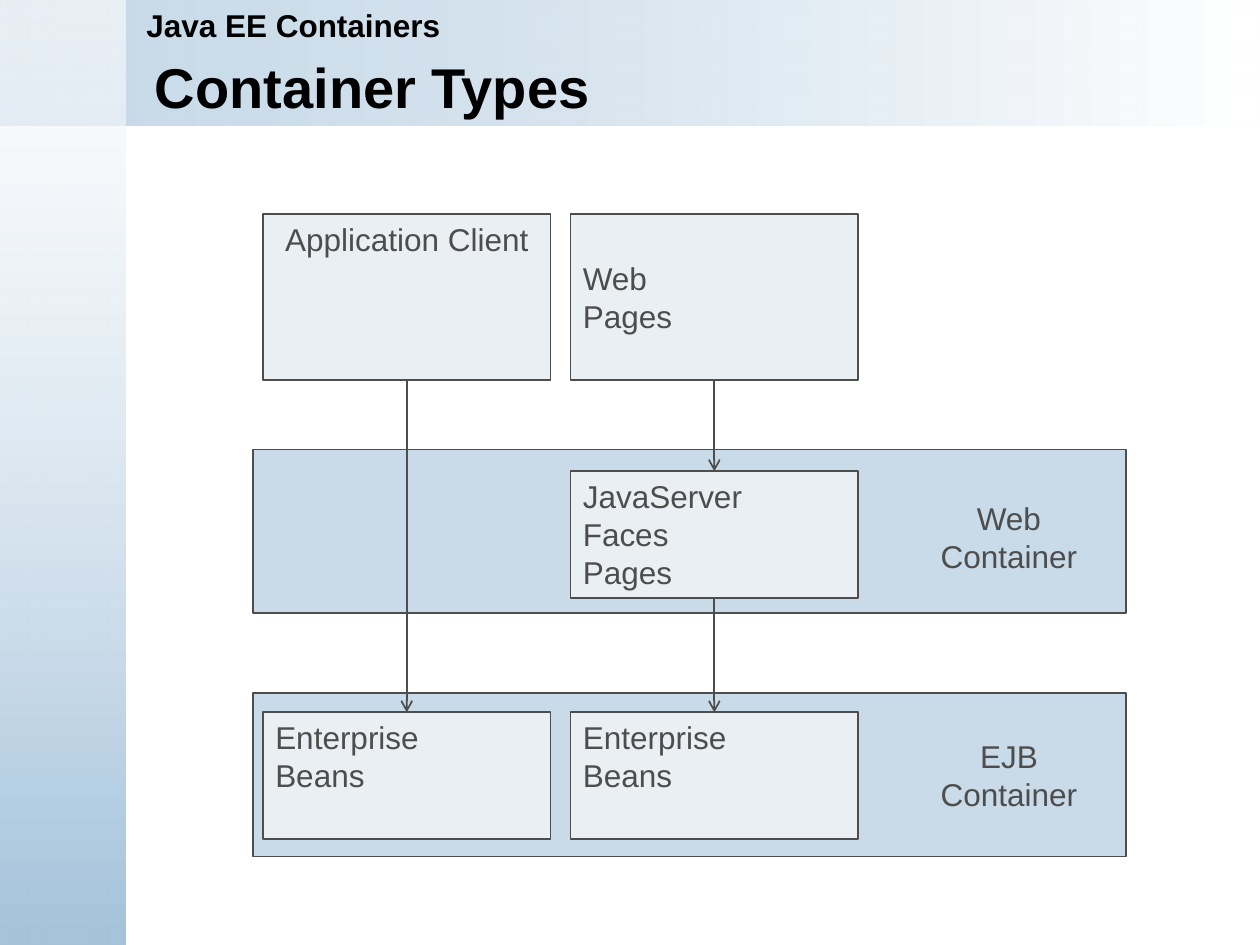
from lxml.etree import SubElement
from pptx import Presentation
from pptx.dml.color import RGBColor
from pptx.enum.shapes import MSO_CONNECTOR as Link, MSO_SHAPE as Shape
from pptx.enum.text import MSO_ANCHOR as Anchor, PP_ALIGN as Align
from pptx.oxml import parse_xml
from pptx.oxml.ns import nsdecls, qn
from pptx.util import Cm, Pt


def colour(value):
    return RGBColor.from_string(value)


class Diagram:
    font = "Arial"
    ink = "4D4D4D"
    band_fill = "C9DBE9"
    box_fill = "EAEFF4"
    accent = "A5C3DB"

    def __init__(self, page):
        self.page = page

    def add_lines(self, shape, lines, size=18, ink=ink, bold=False,
                  align=Align.LEFT, anchor=Anchor.TOP, wrap=True):
        frame = shape.text_frame
        frame.word_wrap = wrap
        frame.vertical_anchor = anchor
        for index, line in enumerate(lines):
            para = frame.add_paragraph() if index else frame.paragraphs[0]
            para.alignment = align
            span = para.add_run()
            span.text = line
            span.font.name = self.font
            span.font.size = Pt(size)
            span.font.bold = bold
            span.font.color.rgb = colour(ink)

    def rectangle(self, left, top, width, height, fill=None):
        box = self.page.shapes.add_shape(
            Shape.RECTANGLE, Cm(left), Cm(top), Cm(width), Cm(height))
        box.shadow.inherit = False
        if fill:
            box.fill.solid()
            box.fill.fore_color.rgb = colour(fill)
            box.line.color.rgb = colour(self.ink)
            box.line.width = Pt(1)
        else:
            box.line.fill.background()
        return box

    def fade(self, left, top, width, height, stops, angle):
        """Borderless panel; stops are (colour, opacity percent)."""
        box = self.rectangle(left, top, width, height)
        marks = "".join(
            f'<a:gs pos="{place}"><a:srgbClr val="{value}">'
            f'<a:alpha val="{opacity * 1000}"/></a:srgbClr></a:gs>'
            for place, (value, opacity) in zip((0, 100000), stops))
        outline = box._element.spPr.find(qn("a:ln"))
        outline.addprevious(parse_xml(
            f'<a:gradFill {nsdecls("a")} rotWithShape="1"><a:gsLst>{marks}</a:gsLst>'
            f'<a:lin ang="{angle * 60000}" scaled="0"/></a:gradFill>'))

    def title(self, text, left, top, width, height):
        box = self.page.shapes.title
        box.left, box.top, box.width, box.height = map(Cm, (left, top, width, height))
        self.add_lines(box, [text], 32, "000000", True, anchor=Anchor.MIDDLE)
        # Bring the title in front of the panels
        box._element.getparent().append(box._element)

    def label(self, lines, left, top, width, height, **style):
        box = self.page.shapes.add_textbox(Cm(left), Cm(top), Cm(width), Cm(height))
        self.add_lines(box, lines, **style)

    def component(self, lines, left, top, width, height, **style):
        box = self.rectangle(left, top, width, height, self.box_fill)
        self.add_lines(box, lines, **style)

    def arrow(self, x, start, end):
        link = self.page.shapes.add_connector(
            Link.STRAIGHT, Cm(x), Cm(start), Cm(x), Cm(end))
        link.line.color.rgb = colour(self.ink)
        link.line.width = Pt(1)
        look = link._element.spPr
        SubElement(look.find(qn("a:ln")), qn("a:tailEnd"), type="arrow")
        SubElement(look, qn("a:effectLst"))


def main():
    deck = Presentation()
    deck.slide_width, deck.slide_height = Cm(25.4), Cm(19.05)
    diagram = Diagram(deck.slides.add_slide(deck.slide_layouts[5]))

    # Header and side panels
    diagram.fade(0, 0, 25.4, 2.54, [(diagram.accent, 62), ("FFFFFF", 100)], 0)
    diagram.fade(0, 0, 2.54, 19.05, [("FFFFFF", 59), (diagram.accent, 100)], 90)

    # Headings
    diagram.title("Container Types", 2.87, 1.12, 21.46, 1.24)
    diagram.label(["Java EE Containers"], 2.7, 0, 22.7, 1.02, ink="000000", bold=True)

    # Container bands
    band_left, band_width, band_height = 5.1, 17.6, 3.3
    web_top, ejb_top = 9.06, 13.97
    for top in (web_top, ejb_top):
        diagram.rectangle(band_left, top, band_width, band_height, diagram.band_fill)

    # Components in two columns
    client_x, web_x, width = 5.3, 11.5, 5.8
    top_y, top_height = 4.32, 3.34
    faces_y, beans_y, height = 9.5, 14.36, 2.56
    diagram.component(["Application Client"], client_x, top_y, width, top_height,
                      align=Align.CENTER)
    diagram.component(["Web", "Pages"], web_x, top_y, width, top_height,
                      anchor=Anchor.MIDDLE)
    diagram.component(["JavaServer", "Faces", "Pages"], web_x, faces_y, width, height)
    for left in (web_x, client_x):
        diagram.component(["Enterprise", "Beans"], left, beans_y, width, height)

    # Calls between the tiers
    client_mid, web_mid = client_x + width / 2, web_x + width / 2
    diagram.arrow(web_mid, top_y + top_height, faces_y)
    diagram.arrow(web_mid, faces_y + height, beans_y)
    diagram.arrow(client_mid, top_y + top_height, beans_y)

    # Container names
    for name, top in (("Web", 9.93), ("EJB", 14.73)):
        diagram.label([name, "Container"], 18.69, top, 3.3, 1.8,
                      align=Align.CENTER, wrap=False)

    deck.save("out.pptx")


if __name__ == "__main__":
    main()
